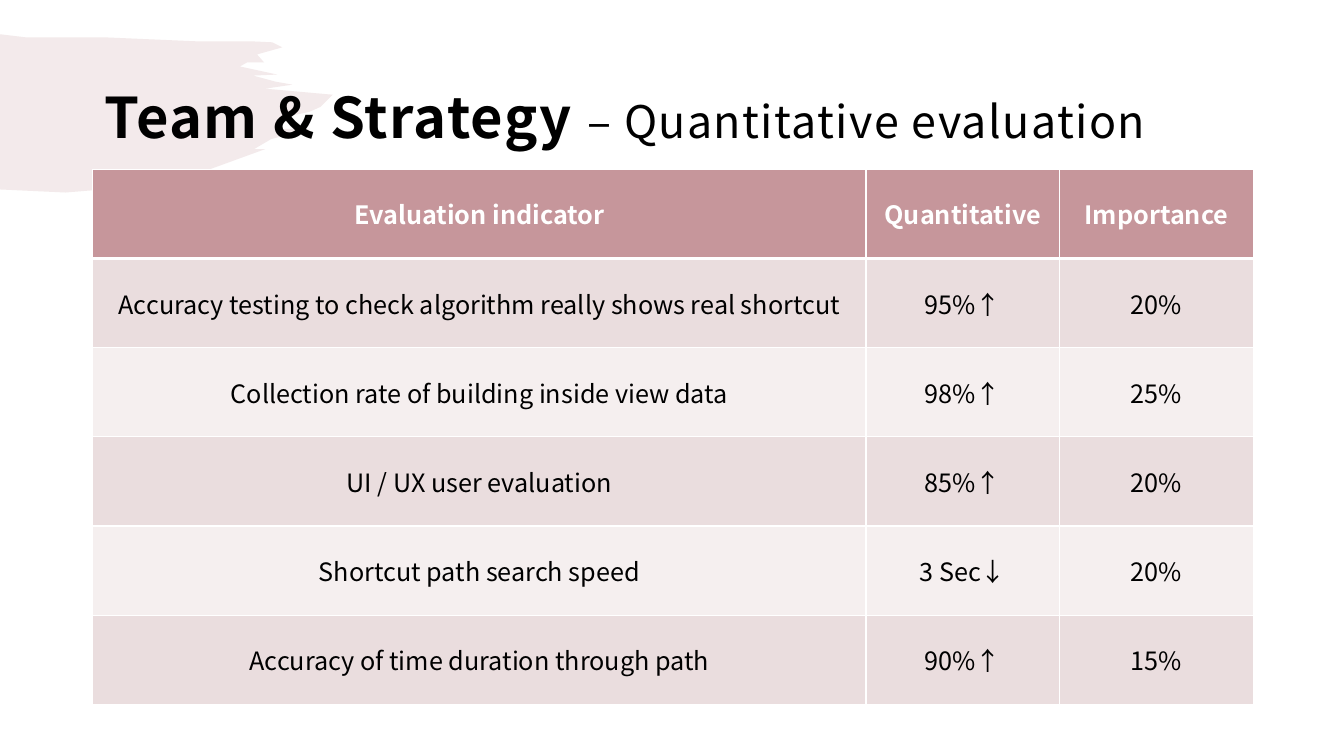
from dataclasses import dataclass

from lxml.etree import SubElement
from pptx import Presentation
from pptx.dml.color import RGBColor
from pptx.enum.text import MSO_ANCHOR, PP_ALIGN
from pptx.oxml import parse_xml
from pptx.oxml.ns import nsdecls, qn
from pptx.util import Inches, Pt


@dataclass(frozen=True)
class Theme:
    font: str = "Noto Sans CJK KR"
    rose: str = "C6969B"
    band_dark: str = "EADDDE"
    band_light: str = "F5EFEF"
    white: str = "FFFFFF"
    black: str = "000000"
    title_size: int = 40
    subtitle_size: int = 32
    table_size: int = 18
    brush_opacity: int = 20
    rule: int = 1
    header_rule: int = 3


# Brush stroke outline, clockwise from the slide edge
BRUSH = [
    (0, 0.34), (0.25, 0.37), (1.02, 0.37), (1.94, 0.41), (2.48, 0.41),
    (2.7, 0.42), (2.8, 0.47), (2.55, 0.54), (2.62, 0.62), (2.45, 0.62),
    (2.38, 0.66), (2.75, 0.74), (2.51, 0.75), (2.73, 0.81), (2.9, 0.84),
    (2.63, 0.88), (3.3, 0.94), (3.18, 1.06), (3.07, 1.11), (2.83, 1.16),
    (2.74, 1.28), (3.08, 1.28), (2.69, 1.38), (2.52, 1.48), (2.63, 1.48),
    (1.97, 1.72), (1.02, 1.88), (0.65, 1.91), (0, 1.88),
]

INDICATORS = [
    ("Evaluation indicator", "Quantitative", "Importance"),
    ("Accuracy testing to check algorithm really shows real shortcut", "95%↑", "20%"),
    ("Collection rate of building inside view data", "98%↑", "25%"),
    ("UI / UX user evaluation", "85%↑", "20%"),
    ("Shortcut path search speed", "3 Sec↓", "20%"),
    ("Accuracy of time duration through path", "90%↑", "15%"),
]


class SlideBuilder:
    def __init__(self, slide, theme):
        self.slide = slide
        self.theme = theme

    def style_run(self, run, size, color, bold):
        run.font.name = self.theme.font
        run.font.size = Pt(size)
        run.font.bold = bold
        run.font.color.rgb = RGBColor.from_string(color)
        east_asian = SubElement(run.font._element, qn("a:ea"))
        east_asian.set("typeface", self.theme.font)

    def brush(self, points):
        corners = [(Inches(x), Inches(y)) for x, y in points]
        builder = self.slide.shapes.build_freeform(*corners[0])
        builder.add_line_segments(corners[1:])
        shape = builder.convert_to_shape()
        shape.shadow.inherit = False
        shape.line.fill.background()
        shape.fill.solid()
        shape.fill.fore_color.rgb = RGBColor.from_string(self.theme.rose)
        color = shape._element.spPr.find(qn("a:solidFill"))[0]
        SubElement(color, qn("a:alpha")).set("val", str(self.theme.brush_opacity * 1000))

    def title(self, box, parts):
        frame = self.slide.shapes.add_textbox(*map(Inches, box)).text_frame
        frame.word_wrap = True
        frame.vertical_anchor = MSO_ANCHOR.MIDDLE
        frame.margin_left = frame.margin_right = frame.margin_top = Inches(0.12)
        frame.margin_bottom = Inches(0.1)
        paragraph = frame.paragraphs[0]
        paragraph.line_spacing = 1.05
        for text, size, bold in parts:
            run = paragraph.add_run()
            run.text = text
            self.style_run(run, size, self.theme.black, bold)
            run.font._element.set("spc", "100")

    def cell_borders(self, cell, widths):
        properties = cell._tc.get_or_add_tcPr()
        for index, (side, width) in enumerate(widths.items()):
            properties.insert(index, parse_xml(
                f'<a:ln{side} {nsdecls("a")} w="{Pt(width)}"><a:solidFill>'
                f'<a:srgbClr val="{self.theme.white}"/></a:solidFill></a:ln{side}>'))

    def table(self, box, column_widths, rows):
        theme = self.theme
        frame = self.slide.shapes.add_table(
            len(rows), len(column_widths), *map(Inches, box))
        table = frame.table
        table.horz_banding = False
        for column, width in zip(table.columns, column_widths):
            column.width = Inches(width)
        for row_index, values in enumerate(rows):
            header = row_index == 0
            band = theme.band_dark if row_index % 2 else theme.band_light
            widths = {
                "L": theme.rule,
                "R": theme.rule,
                "T": theme.header_rule if row_index == 1 else theme.rule,
                "B": theme.header_rule if header else theme.rule,
            }
            for column_index, value in enumerate(values):
                cell = table.cell(row_index, column_index)
                cell.text_frame.text = value
                cell.vertical_anchor = MSO_ANCHOR.MIDDLE
                cell.fill.solid()
                cell.fill.fore_color.rgb = RGBColor.from_string(
                    theme.rose if header else band)
                self.cell_borders(cell, widths)
                paragraph = cell.text_frame.paragraphs[0]
                paragraph.alignment = PP_ALIGN.CENTER
                self.style_run(paragraph.runs[0], theme.table_size,
                               theme.white if header else theme.black, header)


def main():
    presentation = Presentation()
    presentation.slide_width = Inches(13.33)
    presentation.slide_height = Inches(7.5)
    theme = Theme()
    builder = SlideBuilder(
        presentation.slides.add_slide(presentation.slide_layouts[6]), theme)

    # Background brush stroke
    builder.brush(BRUSH)

    # Title
    builder.title((0.92, 0.4, 11.5, 1.45), [
        ("Team & Strategy ", theme.title_size, True),
        ("– Quantitative evaluation", theme.subtitle_size, False),
    ])

    # Evaluation table
    builder.table((0.92, 1.68, 11.5, 5.31), (7.67, 1.92, 1.92), INDICATORS)

    presentation.save("out.pptx")


if __name__ == "__main__":
    main()
